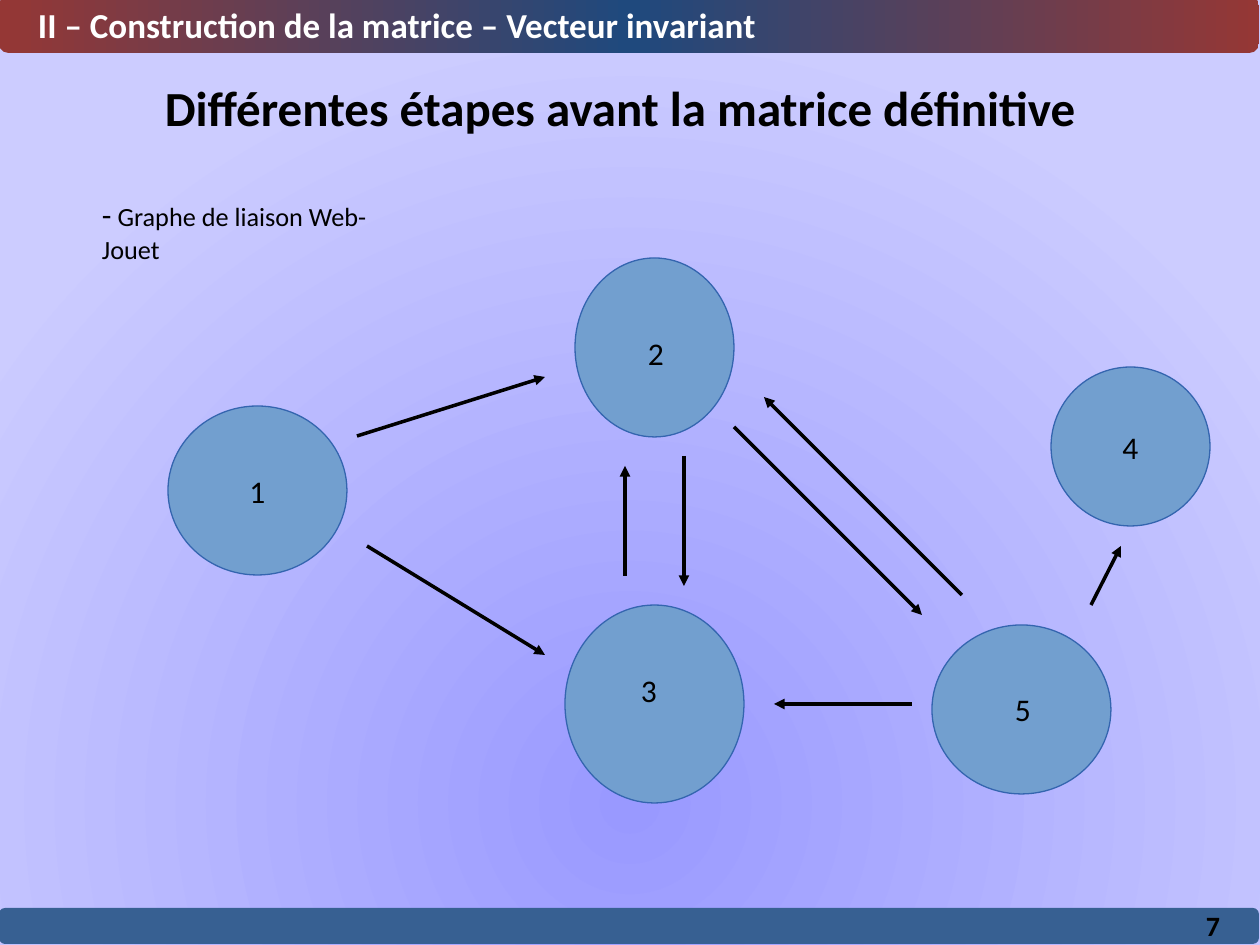
import pptx
import pptx.dml.color
import pptx.enum.shapes
import pptx.enum.text
import pptx.oxml
import pptx.oxml.ns
import pptx.util

RGB = pptx.dml.color.RGBColor
BLACK = RGB(0x00, 0x00, 0x00)
WHITE = RGB(0xFF, 0xFF, 0xFF)
RED = RGB(0x95, 0x37, 0x35)
NAVY = RGB(0x1F, 0x49, 0x7D)
BLUE = RGB(0x37, 0x60, 0x92)
NODE = RGB(0x72, 0x9F, 0xCF)
RIM = RGB(0x34, 0x65, 0xAF)
INNER = RGB(0x99, 0x99, 0xFF)
OUTER = RGB(0xCC, 0xCC, 0xFF)

NS = pptx.oxml.ns.nsdecls("a")
LINEAR = f'<a:lin {NS} ang="0" scaled="0"/>'
RADIAL = (f'<a:path {NS} path="circle">'
          '<a:fillToRect l="50000" t="85000" r="50000" b="15000"/></a:path>')
KIND = pptx.enum.shapes.MSO_SHAPE
ALIGN = pptx.enum.text.PP_ALIGN
ANCHOR = pptx.enum.text.MSO_ANCHOR
FIT = pptx.enum.text.MSO_AUTO_SIZE

NODES = [
    ((0, 148, 179, 169), "1"),
    ((407, 0, 159, 179), ""),
    ((397, 347, 179, 198), ""),
    ((883, 109, 159, 159), "4"),
    ((764, 367, 179, 169), ""),
]
LABELS = [
    ((467, 70, 49, 48), "2"),
    ((460, 407, 49, 48), "3"),
    ((834, 426, 59, 48), "5"),
]
EDGES = [
    (199, 288, 377, 397),
    (189, 178, 377, 119),
    (516, 198, 516, 328),
    (457, 318, 457, 208),
    (744, 446, 606, 446),
    (566, 169, 754, 357),
    (794, 337, 596, 139),
    (923, 347, 953, 288),
]


def px(num):
    """Turn whole pixels into EMU."""
    return pptx.util.Emu(round(num * 914400 / 126))


def put(item, **form):
    """Set each given format value on an item."""
    for name, value in form.items():
        setattr(item, name, value)


def shift(box, part):
    """Move a part's place by the corner of its box."""
    return part[0] + box[0], part[1] + box[1], *part[2:]


def place(shape, box):
    """Move a shape to a box."""
    put(shape, **dict(zip(("left", "top", "width", "height"), map(px, box))))


def blend(owner, fill, stops, shade):
    """Give a fill a gradient of the given stops and shade."""
    fill.gradient()
    grad = owner.element.find(".//" + pptx.oxml.ns.qn("a:gradFill"))
    for child in list(grad):
        grad.remove(child)
    marks = "".join(f'<a:gs pos="{pos * 1000}"><a:srgbClr val="{tint}"/></a:gs>'
                    for pos, tint in stops)
    grad.append(pptx.oxml.parse_xml(f"<a:gsLst {NS}>{marks}</a:gsLst>"))
    grad.append(pptx.oxml.parse_xml(shade))


def write(shape, parts, align=ALIGN.LEFT, anchor=ANCHOR.TOP, wrap=False,
          bold=False, tint=BLACK):
    """Write one paragraph of sized text parts in a shape."""
    put(shape.text_frame, word_wrap=wrap, auto_size=FIT.NONE,
        vertical_anchor=anchor, margin_left=px(13), margin_right=px(13),
        margin_top=px(6), margin_bottom=px(6))
    para = shape.text_frame.paragraphs[0]
    put(para, alignment=align, space_before=pptx.util.Pt(0))
    for text, size in parts:
        run = para.add_run()
        run.text = text
        put(run.font, name="Calibri", size=pptx.util.Pt(size), bold=bold)
        run.font.color.rgb = tint


def label(slide, box, text, size, **form):
    """Add a text box with one line of text."""
    write(slide.shapes.add_textbox(*map(px, box)), [(text, size)], **form)


def solid(slide, kind, box, tint):
    """Add a flat shape without outline or shadow."""
    shape = slide.shapes.add_shape(kind, *map(px, box))
    shape.shadow.inherit = False
    shape.fill.solid()
    shape.fill.fore_color.rgb = tint
    shape.line.fill.background()
    return shape


def header(slide, box):
    """Draw the top bar with the section name."""
    bar = solid(slide, KIND.ROUNDED_RECTANGLE, box, NAVY)
    blend(bar, bar.fill, [(0, RED), (50, NAVY), (100, RED)], LINEAR)
    label(slide, shift(box, (26, 1, 797, 54)),
          "II – Construction de la matrice – Vecteur invariant", 20,
          wrap=True, bold=True, tint=WHITE)


def footer(slide, box):
    """Draw the bottom bar with the page number."""
    solid(slide, KIND.ROUNDED_RECTANGLE, box, BLUE)
    label(slide, shift(box, (1117, -8, 117, 50)), "7", 16, wrap=True,
          bold=True, align=ALIGN.RIGHT, anchor=ANCHOR.MIDDLE)


def title(slide, box):
    """Fill the title placeholder."""
    shape = slide.shapes.title
    place(shape, box)
    write(shape, [("Différentes étapes avant la matrice définitive", 28)],
          align=ALIGN.CENTER, wrap=True, bold=True)


def body(slide, box):
    """Fill the body placeholder with the dashed line."""
    shape = slide.placeholders[1]
    place(shape, box)
    props = shape.text_frame.paragraphs[0]._p.get_or_add_pPr()
    props.set("marL", "0")
    props.set("indent", "0")
    props.append(pptx.oxml.parse_xml(f"<a:buNone {NS}/>"))
    write(shape, [("-", 18), (" Graphe de liaison Web-Jouet", 15)])


def arrow(slide, start, end):
    """Draw a hairline arrow between two points."""
    link = slide.shapes.add_connector(
        pptx.enum.shapes.MSO_CONNECTOR.STRAIGHT, *map(px, start + end))
    link.line.color.rgb = BLACK
    link.line.width = px(0)
    link.line._get_or_add_ln().append(
        pptx.oxml.parse_xml(f'<a:tailEnd {NS} type="triangle"/>'))
    link.element.spPr.append(pptx.oxml.parse_xml(f"<a:effectLst {NS}/>"))


def graph(slide, box):
    """Draw the nodes, arrows and labels of the link graph."""
    for part, text in NODES:
        node = solid(slide, KIND.OVAL, shift(box, part), NODE)
        node.line.color.rgb = RIM
        node.line.width = px(0)
        if text:
            write(node, [(text, 18)], align=ALIGN.CENTER, anchor=ANCHOR.MIDDLE)
    for edge in EDGES:
        arrow(slide, shift(box, edge[:2]), shift(box, edge[2:]))
    for part, text in LABELS:
        label(slide, shift(box, part), text, 18)


def main():
    """Build and save the slide."""
    deck = pptx.Presentation()
    put(deck, slide_width=px(1260), slide_height=px(945))
    slide = deck.slides.add_slide(deck.slide_layouts[1])
    blend(slide, slide.background.fill, [(0, INNER), (100, OUTER)], RADIAL)
    header(slide, (-1, -4, 1260, 57))
    footer(slide, (-1, 908, 1260, 36))
    title(slide, (-20, 72, 1280, 72))
    graph(slide, (168, 258, 1043, 546))
    body(slide, (89, 189, 348, 48))
    deck.save("out.pptx")


if __name__ == "__main__":
    main()
